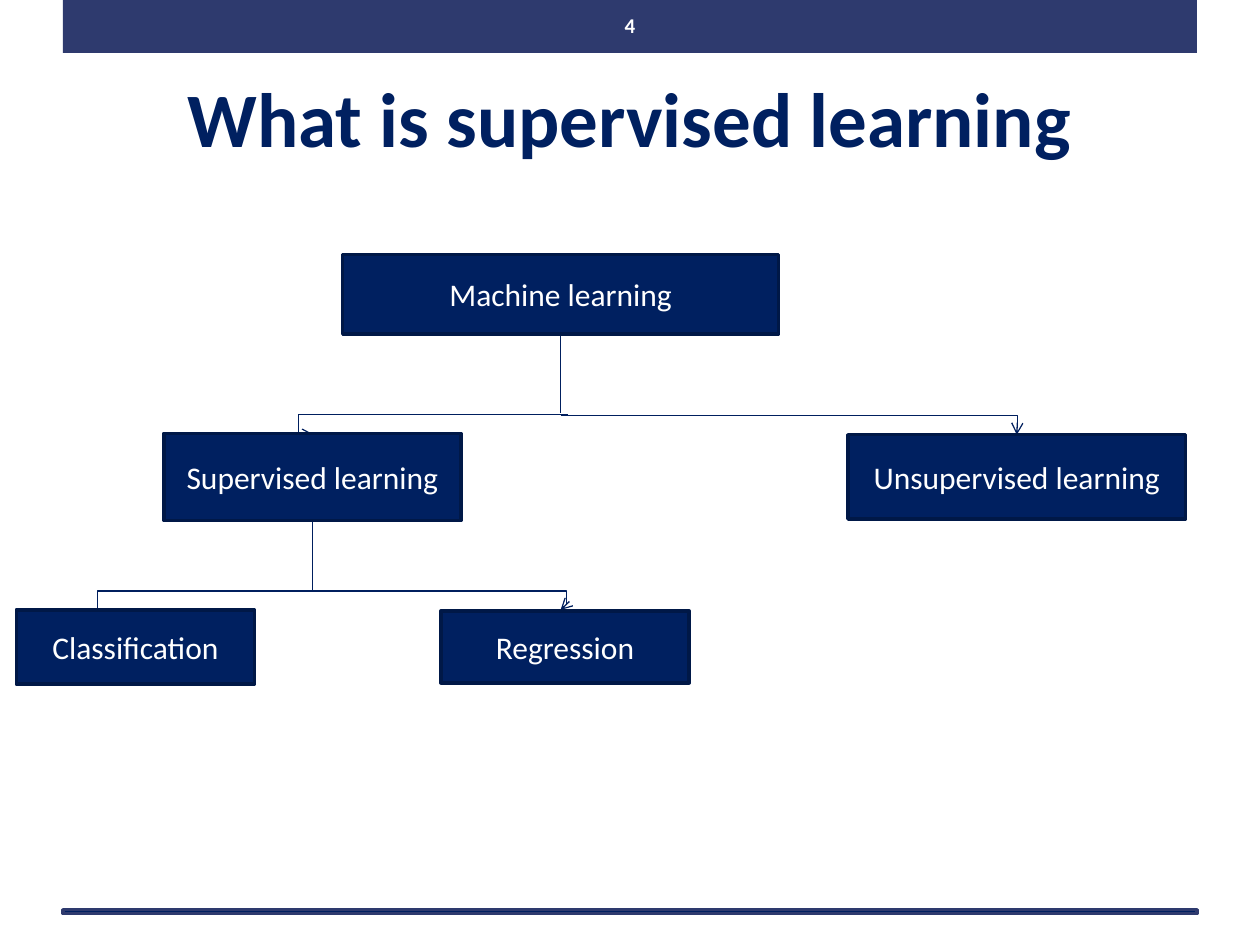
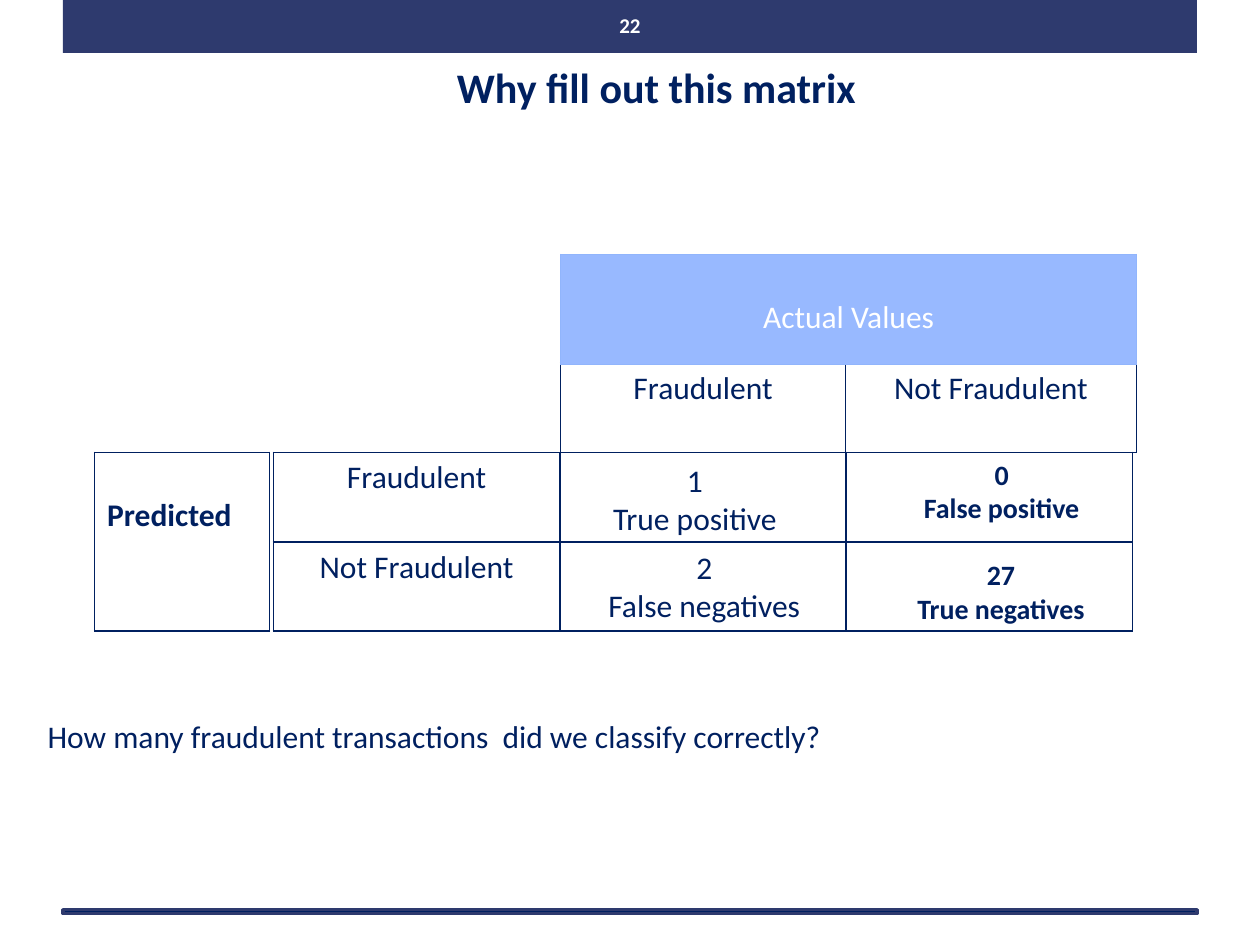
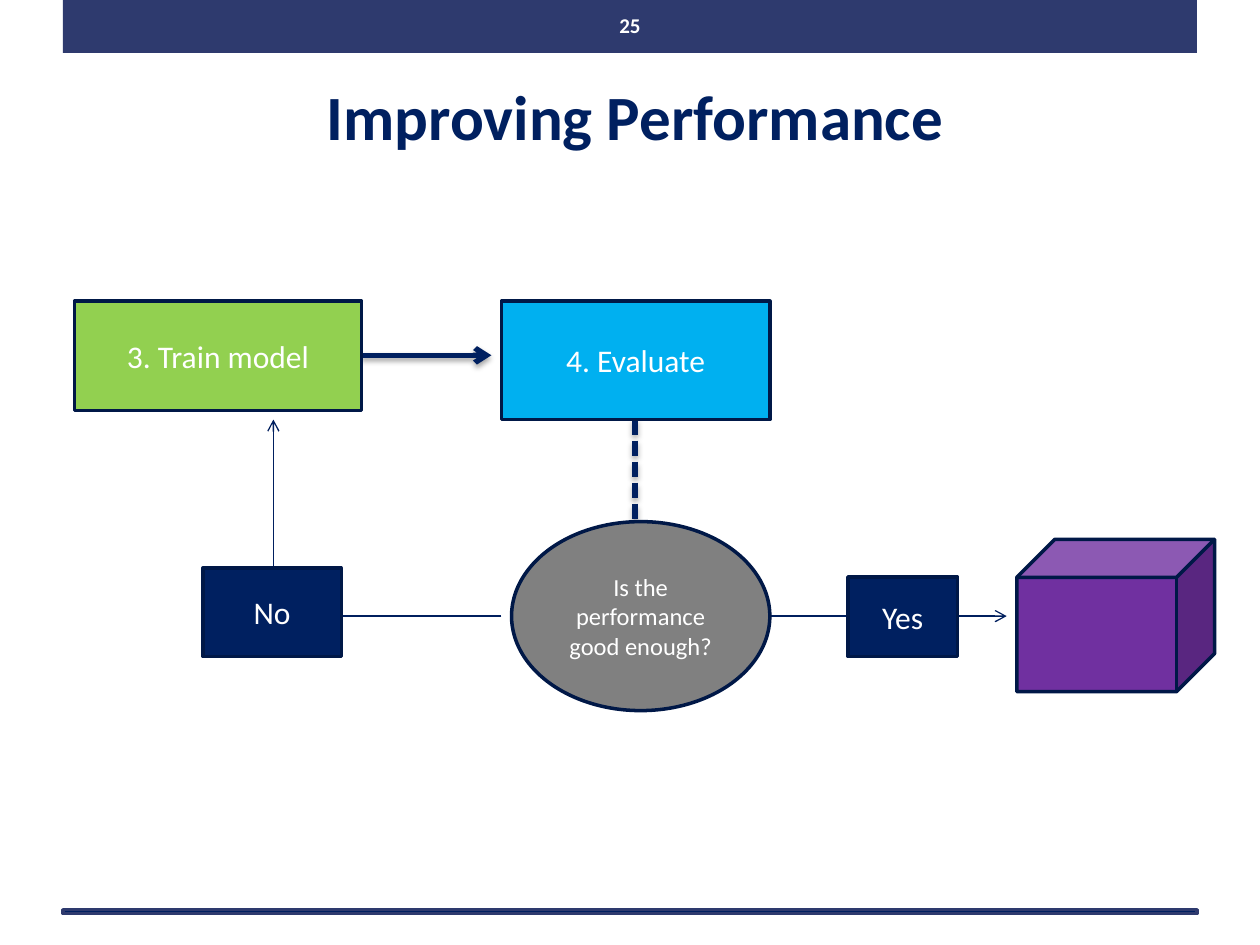
"""Build three slides on supervised learning, its confusion matrix and model improvement."""
from lxml.etree import SubElement
from pptx import Presentation
from pptx.dml.color import RGBColor
from pptx.enum.dml import MSO_LINE
from pptx.enum.shapes import MSO_CONNECTOR, MSO_SHAPE
from pptx.enum.text import MSO_ANCHOR, PP_ALIGN
from pptx.oxml.ns import qn
from pptx.util import Inches, Pt

NAVY = RGBColor(0x00, 0x20, 0x60)
BAND = RGBColor(0x2E, 0x3A, 0x6E)
OUTLINE = RGBColor(0x00, 0x18, 0x47)
THIN_LINE = RGBColor(0x00, 0x1F, 0x5E)
WHITE = RGBColor(0xFF, 0xFF, 0xFF)
GREEN = RGBColor(0x92, 0xD0, 0x50)
CYAN = RGBColor(0x00, 0xB0, 0xF0)
GRAY = RGBColor(0x80, 0x80, 0x80)
PURPLE = RGBColor(0x70, 0x30, 0xA0)
HEADER_FILL = RGBColor(0x98, 0xB9, 0xFF)
HEADER_LINE = RGBColor(0x91, 0xB5, 0xFC)
FONT = "Calibri"

deck = Presentation()
deck.slide_width, deck.slide_height = Inches(10), Inches(7.5)
CELL = deck.slide_width // 100


def grid(*cells):
    """Turn cells of a 100 by 75 grid into slide lengths."""
    return [round(cell * CELL) for cell in cells]


def write(frame, text, size=18, color=NAVY, bold=False, align=PP_ALIGN.CENTER,
          anchor=MSO_ANCHOR.TOP):
    """Fill a text frame with one paragraph per line of text."""
    frame.text = text
    frame.word_wrap = True
    frame.vertical_anchor = anchor
    for paragraph in frame.paragraphs:
        paragraph.alignment = align
        font = paragraph.font
        font.name, font.size, font.bold = FONT, Pt(size), bold
        font.color.rgb = color


headings = [
    ("4", "What is supervised learning", 44, (5, 3, 90, 12.5)),
    ("22", "Why fill out this matrix", 24, (7.2, 4.4, 89.8, 5)),
    ("25", "Improving Performance", 36, (5.4, 2.9, 90, 12.5)),
]
slides = []
for number, title, title_size, title_place in headings:
    slide = deck.slides.add_slide(deck.slide_layouts[6])
    slides.append(slide)
    for fill, place in [(BAND, (5, 0, 90, 4.2)), (NAVY, (5, 72.2, 90, 0.3))]:
        band = slide.shapes.add_shape(MSO_SHAPE.RECTANGLE, *grid(*place))
        band.shadow.inherit = False
        band.fill.solid()
        band.fill.fore_color.rgb = fill
        if fill == BAND:
            band.line.fill.background()
        else:
            band.line.color.rgb = BAND
            band.line.width = Pt(2)
    heading = slide.shapes.add_textbox(*grid(*title_place))
    write(heading.text_frame, title, size=title_size, bold=True, anchor=MSO_ANCHOR.MIDDLE)
    page = slide.shapes.add_textbox(*grid(48, 0, 4, 4))
    page.text_frame.margin_left = page.text_frame.margin_right = 0
    write(page.text_frame, number, size=12, color=WHITE, bold=True, anchor=MSO_ANCHOR.MIDDLE)

learning, matrix, improving = slides

links = [
    (learning, (44.5, 26.5, 44.5, 32.8), None, False),
    (learning, (45.1, 32.9, 24.9, 34.5), 105900, True),
    (learning, (44.5, 33, 80.7, 34.5), 100100, True),
    (learning, (24.8, 41.2, 24.8, 46.9), None, False),
    (learning, (24.8, 46.9, 8, 49.3), 101400, True),
    (learning, (24.8, 46.9, 44.5, 48.4), 102500, True),
    (improving, (61, 48.9, 67.3, 48.9), None, False),
    (improving, (76, 48.9, 79.9, 48.9), None, True),
    (improving, (39.8, 48.9, 27.2, 48.9), None, False),
    (improving, (21.7, 45.1, 21.7, 33.3), None, True),
]
strong_links = [
    (improving, (28.7, 28.2, 39, 28.2), None, True),
    (improving, (50.4, 33.3, 50.4, 41.2), None, False),
]
for slide, ends, bend, arrow in links + strong_links:
    strong = (slide, ends, bend, arrow) in strong_links
    kind = MSO_CONNECTOR.ELBOW if bend else MSO_CONNECTOR.STRAIGHT
    link = slide.shapes.add_connector(kind, *grid(*ends))
    link.line.color.rgb = NAVY if strong else THIN_LINE
    link.line.width = Pt(3 if strong else 0.75)
    if strong and not arrow:
        link.line.dash_style = MSO_LINE.SQUARE_DOT
    properties = link.element.spPr
    if bend:
        guides = properties.find(qn("a:prstGeom")).find(qn("a:avLst"))
        SubElement(guides, qn("a:gd"), name="adj1", fmla=f"val {bend}")
    if arrow:
        SubElement(properties.find(qn("a:ln")), qn("a:tailEnd"), type="arrow")
    effects = SubElement(properties, qn("a:effectLst"))
    if strong:
        shadow = SubElement(effects, qn("a:outerShdw"), blurRad=str(Pt(3.1)),
                            dist=str(Pt(1.8)), dir="5400000", rotWithShape="0")
        shade = SubElement(shadow, qn("a:srgbClr"), val="000000")
        SubElement(shade, qn("a:alpha"), val="35000")

steps = [
    (learning, "Machine learning", MSO_SHAPE.RECTANGLE, NAVY, 18, (27.2, 20.2, 34.6, 6.3)),
    (learning, "Supervised learning", MSO_SHAPE.RECTANGLE, NAVY, 18, (13, 34.4, 23.6, 6.9)),
    (learning, "Unsupervised learning", MSO_SHAPE.RECTANGLE, NAVY, 18, (67.3, 34.5, 26.8, 6.7)),
    (learning, "Classification", MSO_SHAPE.RECTANGLE, NAVY, 18, (1.3, 48.4, 18.9, 5.9)),
    (learning, "Regression", MSO_SHAPE.RECTANGLE, NAVY, 18, (35, 48.5, 19.7, 5.7)),
    (improving, "3. Train model", MSO_SHAPE.RECTANGLE, GREEN, 18, (5.9, 23.9, 22.8, 8.7)),
    (improving, "4. Evaluate", MSO_SHAPE.RECTANGLE, CYAN, 18, (39.8, 23.9, 21.3, 9.4)),
    (improving, "Is the performance good enough?", MSO_SHAPE.OVAL, GRAY, 14,
     (40.6, 41.4, 20.5, 15)),
    (improving, "Yes", MSO_SHAPE.RECTANGLE, NAVY, 18, (67.3, 45.8, 8.7, 6.3)),
    (improving, "", MSO_SHAPE.CUBE, PURPLE, 18, (80.7, 42.8, 15.7, 12.1)),
    (improving, "No", MSO_SHAPE.RECTANGLE, NAVY, 18, (16.1, 45.1, 11, 7)),
]
for slide, label, outline, fill, size, place in steps:
    step = slide.shapes.add_shape(outline, *grid(*place))
    step.shadow.inherit = False
    step.fill.solid()
    step.fill.fore_color.rgb = fill
    step.line.color.rgb = OUTLINE
    step.line.width = Pt(2)
    if label:
        write(step.text_frame, label, size=size, color=WHITE, anchor=MSO_ANCHOR.MIDDLE)

CLASSES = ["Fraudulent", "Not Fraudulent"]
matrix_parts = [
    ((21.7, 35.9), [22.73] * 3, [7.1] * 2, [[name, "", ""] for name in CLASSES]),
    ((7.5, 35.9), [13.9], [14.2], [["Predicted"]]),
    ((44.5, 28.8), [22.6, 23.1], [7.1], [CLASSES]),
    ((44.5, 20.2), [45.7], [8.7], [["Actual Values"]]),
]
for corner, widths, heights, rows in matrix_parts:
    part = matrix.shapes.add_table(len(heights), len(widths), *grid(*corner),
                                   *grid(sum(widths), sum(heights))).table
    part.first_row = part.horz_banding = False
    for column, width in zip(part.columns, grid(*widths)):
        column.width = width
    for row, height, labels in zip(part.rows, grid(*heights), rows):
        row.height = height
        for cell, label in zip(row.cells, labels):
            header, predicted = label == "Actual Values", label == "Predicted"
            write(cell.text_frame, label, color=WHITE if header else NAVY, bold=predicted,
                  align=PP_ALIGN.LEFT if predicted else PP_ALIGN.CENTER)
            if header or predicted:
                cell.margin_top = Inches(0.35)
            for side in ("a:lnL", "a:lnR", "a:lnT", "a:lnB"):
                border = SubElement(cell._tc.get_or_add_tcPr(), qn(side),
                                    w=str(Pt(0.75 if header else 1)))
                paint = SubElement(border, qn("a:solidFill"))
                SubElement(paint, qn("a:srgbClr"), val=str(HEADER_LINE if header else NAVY))
            if header:
                cell.fill.solid()
                cell.fill.fore_color.rgb = HEADER_FILL
            else:
                cell.fill.background()

outcomes = [
    ("1\nTrue positive", 18, False, (44.5, 36.1, 21.3, 10.1)),
    ("2\nFalse negatives", 18, False, (42.9, 43, 26, 10.1)),
    ("0\nFalse positive", 16, True, (72, 35.8, 15, 9.4)),
    ("27\nTrue negatives", 16, True, (70.8, 43.8, 17.3, 9.4)),
]
for outcome, size, bold, place in outcomes:
    count = matrix.shapes.add_textbox(*grid(*place))
    write(count.text_frame, outcome, size=size, bold=bold)
question = matrix.shapes.add_textbox(*grid(2.8, 56.4, 93.7, 4))
write(question.text_frame, "How many fraudulent transactions  did we classify correctly?",
      align=PP_ALIGN.LEFT)

deck.save("out.pptx")
